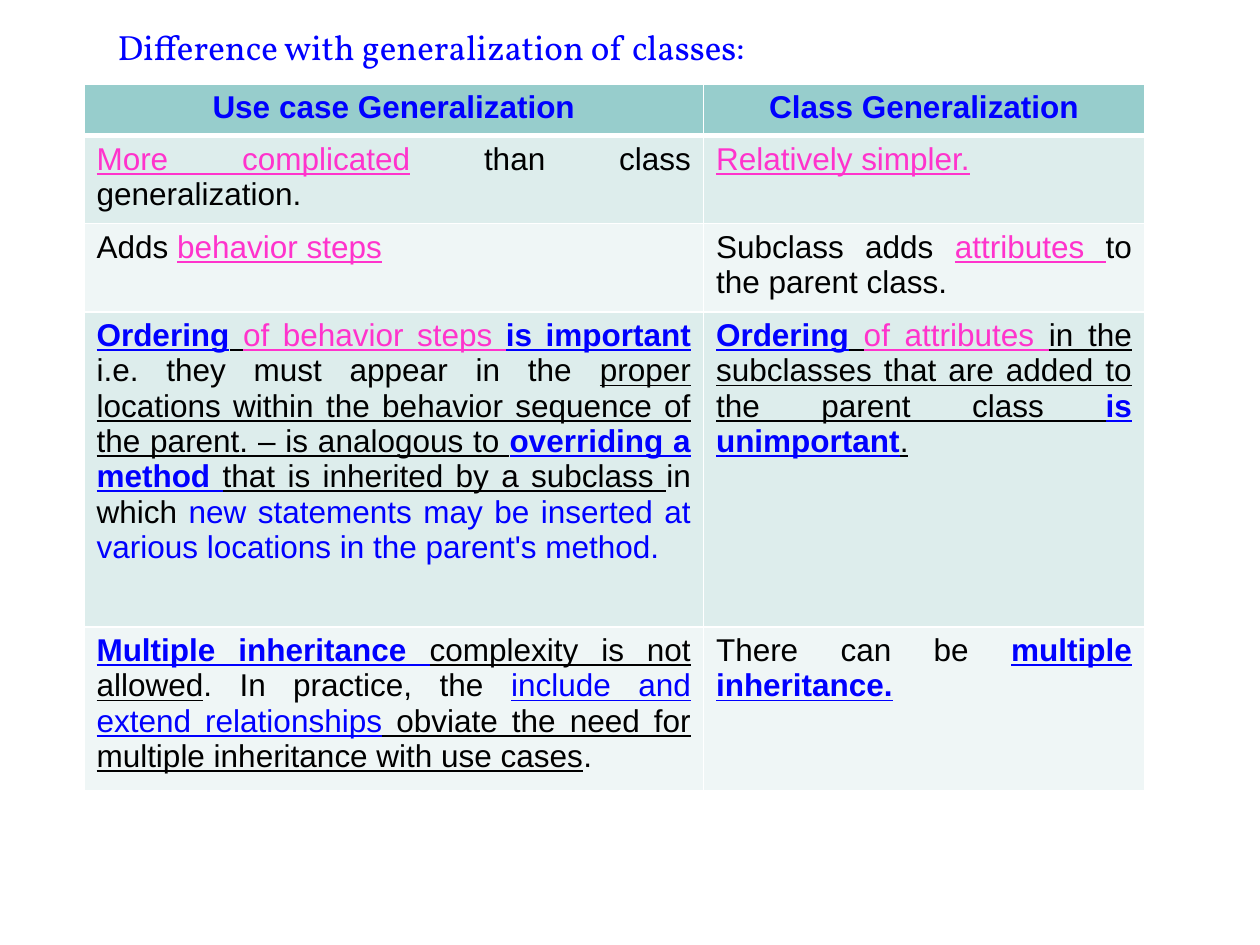
from lxml import etree
from pptx import Presentation
from pptx.dml.color import RGBColor
from pptx.enum.text import MSO_ANCHOR, PP_ALIGN
from pptx.oxml.ns import qn
from pptx.util import Inches, Pt

BOTTOM = MSO_ANCHOR.BOTTOM
LEFT, CENTER, JUSTIFY = PP_ALIGN.LEFT, PP_ALIGN.CENTER, PP_ALIGN.JUSTIFY

BLUE, PINK, BLACK, WHITE = "0000FF", "FF33CC", "000000", "FFFFFF"
HEADER_FILL, BAND_FILLS = "97CDCC", ("DDEDEC", "EFF6F6")

HEADING = (BLUE, True, False)
STRONG = (BLUE, True, True)
LINKED = (BLUE, False, True)
REMARK = (BLUE, False, False)
TERM = (PINK, False, True)
UNDER = (BLACK, False, True)
PLAIN = (BLACK, False, False)

TITLE = "Difference with generalization of classes:"
COLUMN_WIDTHS = (59, 42)
ROW_HEIGHTS = (4.9, 8.4, 8.4, 30, 15.6)
COMPARISON = [
    [
        [("Use case Generalization", HEADING)],
        [("Class Generalization", HEADING)],
    ],
    [
        [("More complicated", TERM), (" than class generalization.", PLAIN)],
        [("Relatively simpler.", TERM)],
    ],
    [
        [("Adds ", PLAIN), ("behavior steps", TERM)],
        [("Subclass adds ", PLAIN), ("attributes ", TERM), ("to the parent class.", PLAIN)],
    ],
    [
        [
            ("Ordering", STRONG),
            (" ", UNDER),
            ("of behavior steps ", TERM),
            ("is important ", STRONG),
            ("i.e. they must appear in the ", PLAIN),
            ("proper locations within the behavior sequence of the parent. "
             "– is analogous to ", UNDER),
            ("overriding a method ", STRONG),
            ("that is inherited by a subclass ", UNDER),
            ("in which ", PLAIN),
            ("new statements may be inserted at various locations "
             "in the parent's method. ", REMARK),
        ],
        [
            ("Ordering", STRONG),
            (" ", UNDER),
            ("of attributes ", TERM),
            ("in the subclasses that are added to the parent class ", UNDER),
            ("is unimportant", STRONG),
            (".", UNDER),
        ],
    ],
    [
        [
            ("Multiple inheritance ", STRONG),
            ("complexity is not allowed", UNDER),
            (". In practice, the ", PLAIN),
            ("include and extend relationships", LINKED),
            (" obviate the need for multiple inheritance with use cases", UNDER),
            (".", PLAIN),
        ],
        [("There can be ", PLAIN), ("multiple inheritance.", STRONG)],
    ],
]


def colour(value):
    return RGBColor.from_string(value)


class SlideBuilder:
    title_font, title_size = "Vollkorn", 20
    body_font, body_size = "Arial", 18
    grid_columns = 120

    def __init__(self, deck):
        self.unit = deck.slide_width / self.grid_columns
        self.page = deck.slides.add_slide(deck.slide_layouts[5])

    def length(self, units):
        return round(units * self.unit)

    def title(self, text, left, top, width, height):
        box = self.page.shapes.title
        box.left, box.top = self.length(left), self.length(top)
        box.width, box.height = self.length(width), self.length(height)
        frame = box.text_frame
        frame.text = text
        frame.word_wrap = True
        frame.vertical_anchor = BOTTOM
        para = frame.paragraphs[0]
        para.alignment = LEFT
        self.format(para.runs[0], self.title_font, self.title_size, REMARK)

    def format(self, span, font_name, size, style):
        value, bold, underline = style
        span.font.name = font_name
        span.font.size = Pt(size)
        span.font.color.rgb = colour(value)
        span.font.bold = bold
        span.font.underline = underline

    def table(self, rows, left, top, widths, heights):
        frame = self.page.shapes.add_table(
            len(rows), len(widths), self.length(left), self.length(top),
            self.length(sum(widths)), self.length(sum(heights)))
        table = frame.table
        for column, width in zip(table.columns, widths):
            column.width = self.length(width)
        for row, height in zip(table.rows, heights):
            row.height = self.length(height)
        for row_index, row in enumerate(rows):
            for column_index, spans in enumerate(row):
                self.cell(table.cell(row_index, column_index), spans, row_index)

    def cell(self, cell, spans, row_index):
        is_header = row_index == 0
        fill = HEADER_FILL if is_header else BAND_FILLS[(row_index - 1) % 2]
        cell.fill.solid()
        cell.fill.fore_color.rgb = colour(fill)
        self.borders(cell, top=3 if row_index == 1 else 1, bottom=3 if is_header else 1)
        para = cell.text_frame.paragraphs[0]
        para.alignment = CENTER if is_header else JUSTIFY
        for text, style in spans:
            span = para.add_run()
            span.text = text
            self.format(span, self.body_font, self.body_size, style)

    def borders(self, cell, top, bottom):
        properties = cell._tc.get_or_add_tcPr()
        sides = (("a:lnL", 1), ("a:lnR", 1), ("a:lnT", top), ("a:lnB", bottom))
        for position, (side, points) in enumerate(sides):
            line = etree.Element(qn(side), w=str(Pt(points)))
            fill = etree.SubElement(line, qn("a:solidFill"))
            etree.SubElement(fill, qn("a:srgbClr"), val=WHITE)
            properties.insert(position, line)


def main():
    deck = Presentation()
    deck.slide_width, deck.slide_height = Inches(10), Inches(7.5)
    builder = SlideBuilder(deck)
    builder.title(TITLE, left=10, top=0, width=101, height=7)
    builder.table(COMPARISON, left=8, top=8, widths=COLUMN_WIDTHS, heights=ROW_HEIGHTS)
    deck.save("out.pptx")


if __name__ == "__main__":
    main()
